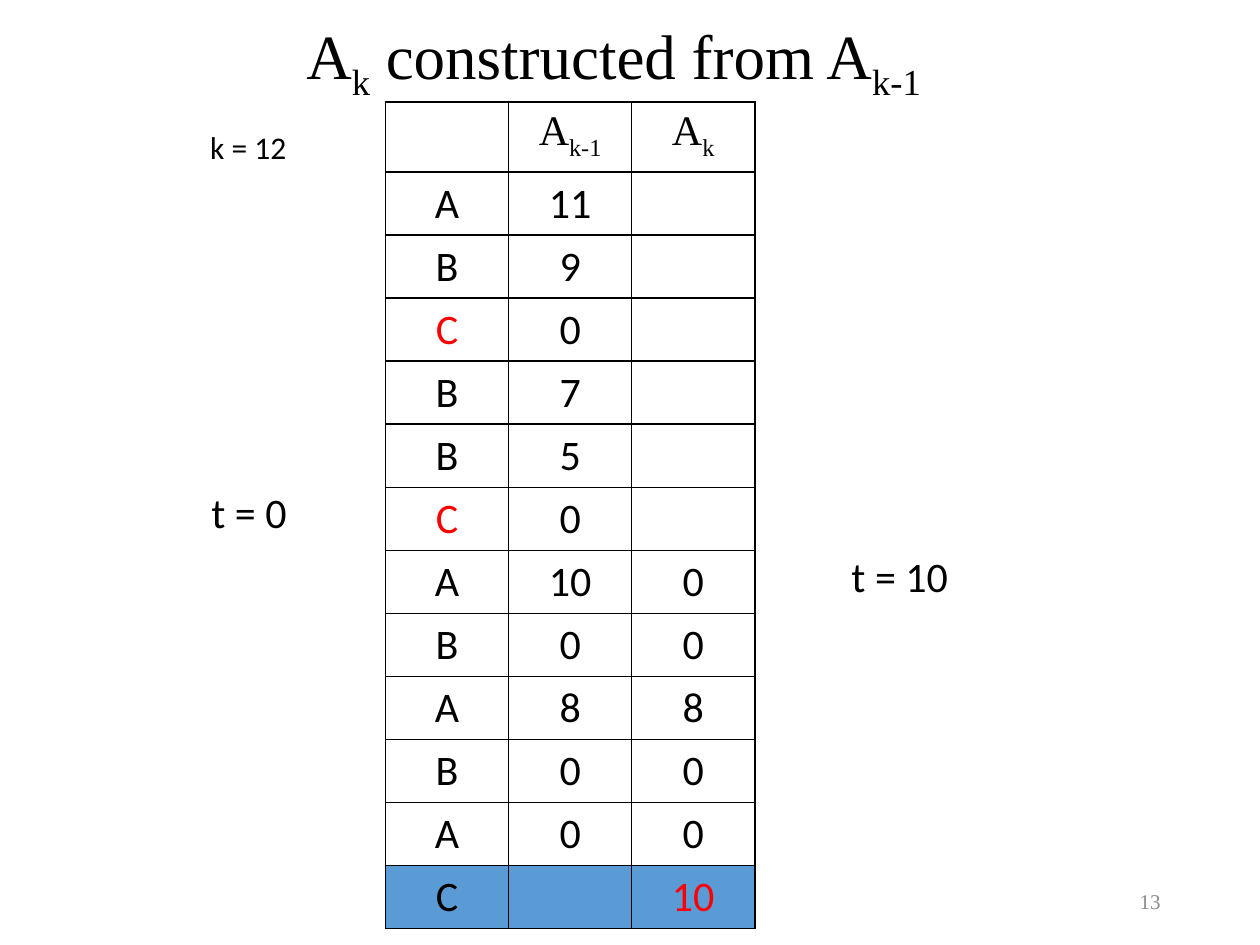
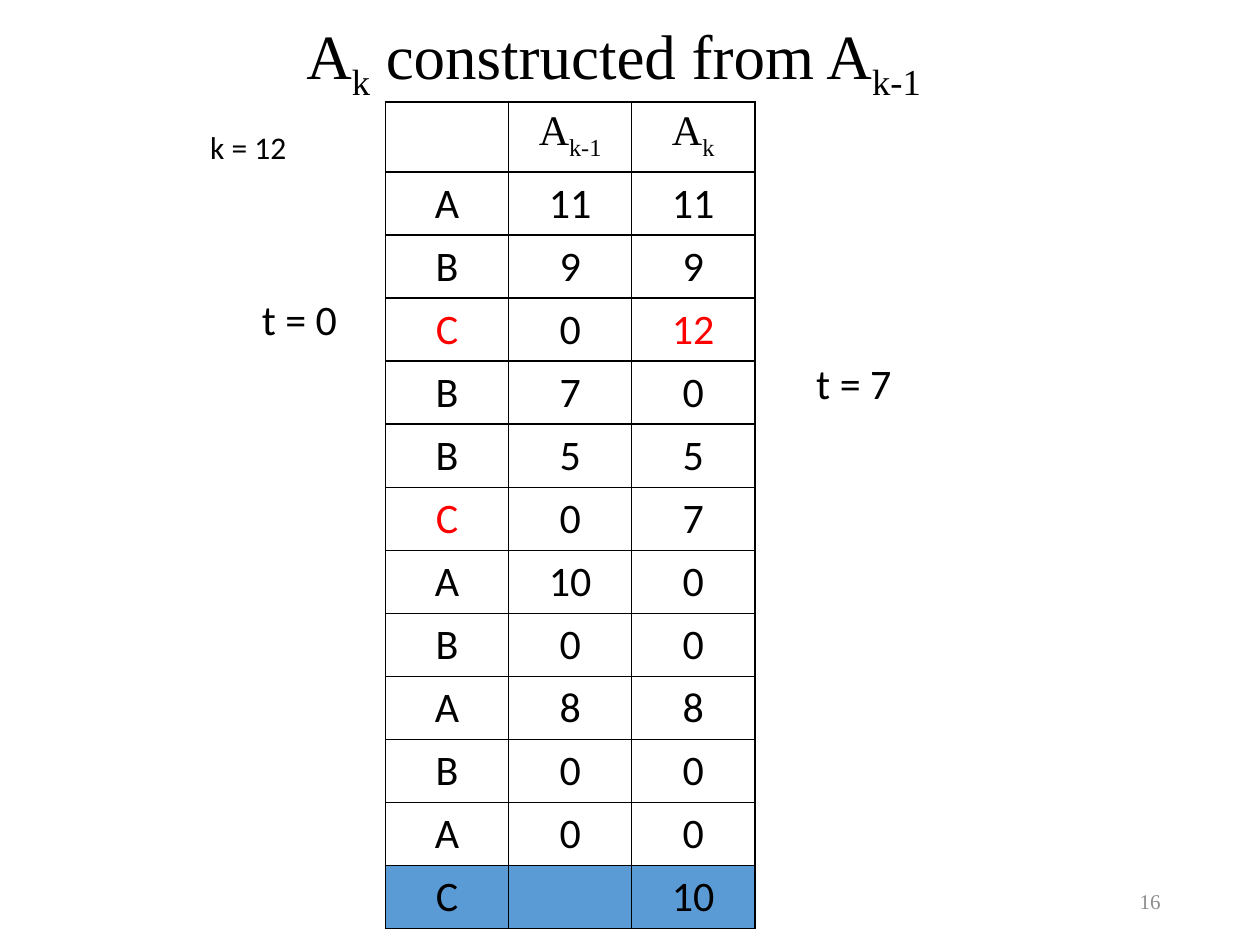
import pptx
import pptx.dml.color
import pptx.enum.text
import pptx.oxml
import pptx.oxml.ns
import pptx.util
from lxml import etree

WIDTH = pptx.util.Inches(10)
HEIGHT = pptx.util.Inches(7.5)
SERIF = "Times New Roman"
SANS = "Calibri"
BLACK, RED, BLUE, GREY = "000000", "FF0000", "5B9BD5", "8C8C8C"
ALIGN = pptx.enum.text.PP_ALIGN
ANCHOR = pptx.enum.text.MSO_ANCHOR

LETTERS = "ABCBBCABABAC"
PREVIOUS = ["11", "9", "0", "7", "5", "0", "10", "0", "8", "0", "0", ""]
RED_LETTERS = {(3, 0), (6, 0)}
COLUMN_WIDTH = 0.0977
ROW_HEIGHT = 0.0627


def color(value):
    return pptx.dml.color.RGBColor.from_string(value)


def place(left, top, width, height):
    return [int(share * side) for share, side in
            zip((left, top, width, height), (WIDTH, HEIGHT, WIDTH, HEIGHT))]


def row_top(row):
    return 0.1 + 0.068 * row


def write(paragraph, text, size, font, fill=BLACK, align=ALIGN.CENTER):
    """Text between bars alternates between normal and subscript."""
    paragraph.alignment = align
    for index, part in enumerate(text.split("|")):
        if part:
            run = paragraph.add_run()
            run.text = part
            if index % 2:
                run.font._element.set("baseline", "-25000")
    paragraph.font.size = pptx.util.Pt(size)
    paragraph.font.name = font
    paragraph.font.color.rgb = color(fill)


def add_text(slide, box, text, size, font, fill=BLACK, align=ALIGN.CENTER):
    frame = slide.shapes.add_textbox(*place(*box)).text_frame
    frame.word_wrap = True
    frame.vertical_anchor = ANCHOR.MIDDLE
    write(frame.paragraphs[0], text, size, font, fill, align)
    return frame


def add_label(slide, left, row, width, text, size=24):
    box = (left, row_top(row), width, size / 360)
    frame = add_text(slide, box, text, size, SANS, align=ALIGN.LEFT)
    frame.vertical_anchor = ANCHOR.TOP
    frame.word_wrap = False
    frame.auto_size = pptx.enum.text.MSO_AUTO_SIZE.SHAPE_TO_FIT_TEXT


def add_borders(cell):
    properties = cell._tc.get_or_add_tcPr()
    for side in ("lnL", "lnR", "lnT", "lnB"):
        line = etree.SubElement(properties, pptx.oxml.ns.qn(f"a:{side}"), w="12700")
        solid = etree.SubElement(line, pptx.oxml.ns.qn("a:solidFill"))
        etree.SubElement(solid, pptx.oxml.ns.qn("a:srgbClr"), val=BLACK)


def add_array_table(slide, current, red_cells):
    rows = [("", "A|k-1", "A|k"), *zip(LETTERS, PREVIOUS, current)]
    box = place(0.306, 0.108, 3 * COLUMN_WIDTH, len(rows) * ROW_HEIGHT)
    table = slide.shapes.add_table(len(rows), 3, *box).table
    table.first_row = table.horz_banding = False
    for column in table.columns:
        column.width = int(COLUMN_WIDTH * WIDTH)
    for row, values in enumerate(rows):
        table.rows[row].height = int(ROW_HEIGHT * HEIGHT)
        for column, text in enumerate(values):
            cell = table.cell(row, column)
            add_borders(cell)
            if row == len(rows) - 1:
                cell.fill.solid()
                cell.fill.fore_color.rgb = color(BLUE)
            else:
                cell.fill.background()
            write(cell.text_frame.paragraphs[0], text, 24, SANS if row else SERIF,
                  RED if (row, column) in red_cells else BLACK)


def add_step(presentation, number, current, red_cell, labels):
    slide = presentation.slides.add_slide(presentation.slide_layouts[6])
    title = add_text(slide, (0.056, -0.037, 0.862, 0.193),
                     "A|k| constructed from A|k-1", 36, SERIF)
    title.paragraphs[0].line_spacing = 0.9
    add_text(slide, (0.706, 0.927, 0.225, 0.053), number, 12, SERIF, GREY, ALIGN.RIGHT)
    add_array_table(slide, current, RED_LETTERS | {red_cell})
    add_label(slide, 0.157, 0.43, 0.081, "k = 12", 18)
    for label in labels:
        add_label(slide, *label)


def main():
    presentation = pptx.Presentation()
    presentation.slide_width = WIDTH
    presentation.slide_height = HEIGHT
    tail = ["0", "0", "8", "0", "0", "10"]
    add_step(presentation, "13", [""] * 6 + tail, (12, 2),
             [(0.158, 6, 0.08, "t = 0"), (0.666, 7, 0.097, "t = 10")])
    add_step(presentation, "16", ["11", "9", "12", "0", "5", "7"] + tail, (3, 2),
             [(0.198, 3, 0.08, "t = 0"), (0.638, 4, 0.08, "t = 7")])
    presentation.save("out.pptx")


if __name__ == "__main__":
    main()
